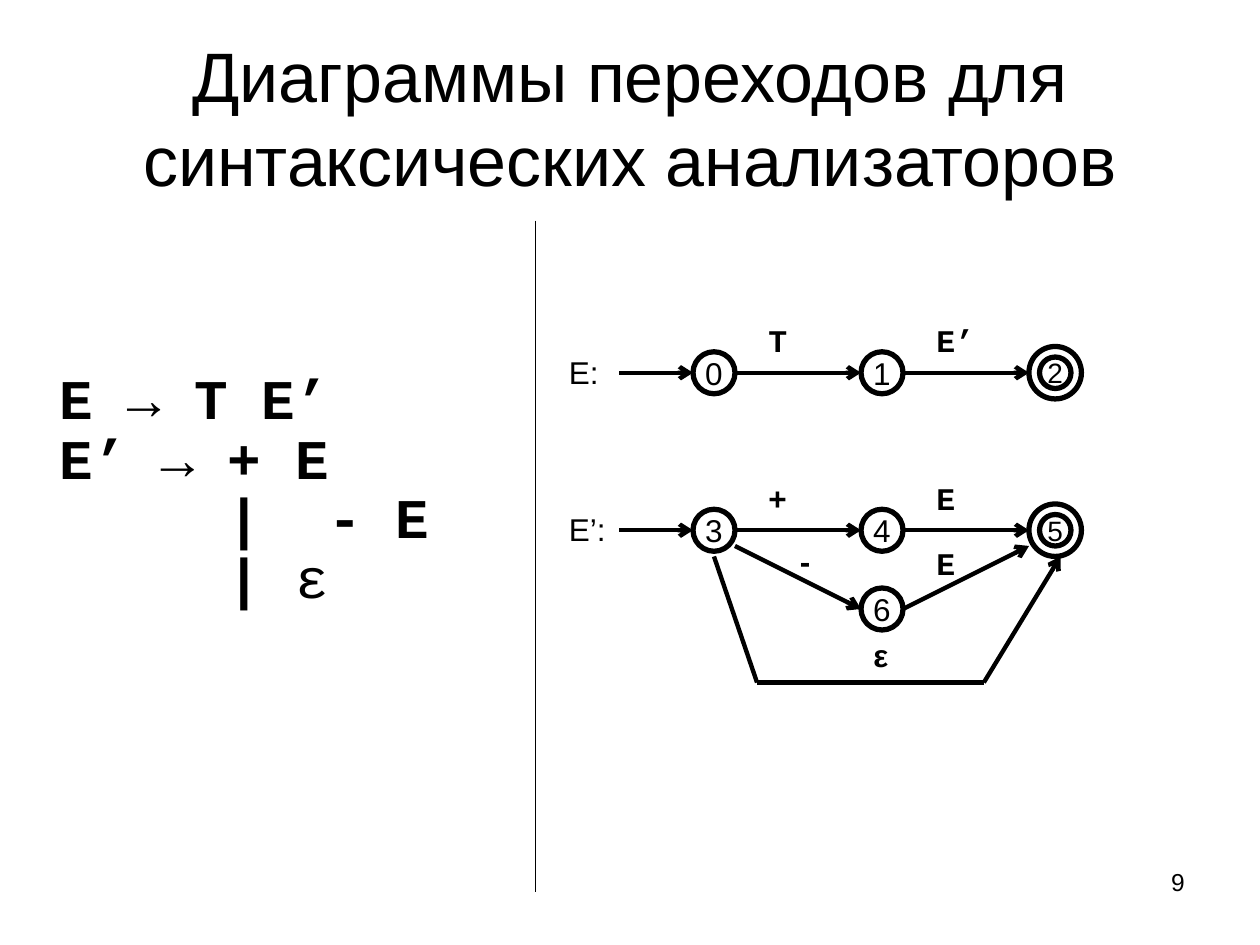
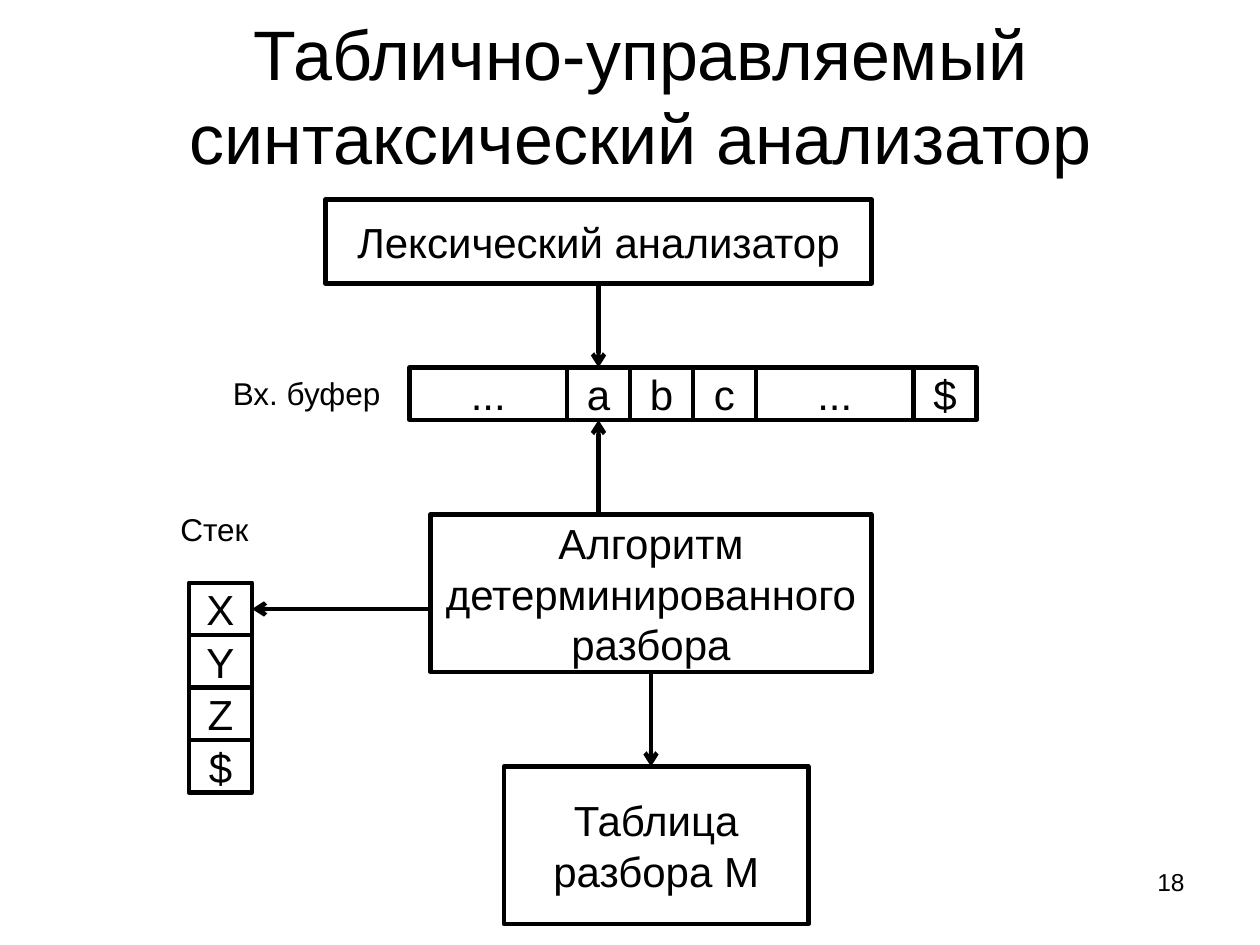
from lxml.etree import SubElement
from pptx import Presentation
from pptx.dml.color import RGBColor
from pptx.enum.shapes import MSO_CONNECTOR, MSO_SHAPE
from pptx.enum.text import MSO_ANCHOR, PP_ALIGN
from pptx.oxml.ns import qn
from pptx.util import Emu, Pt

PX = 7620  # EMU per px, 120 px to the inch
COLORS = {"ink": "000000", "paper": "FFFFFF"}
SANS = "Arial"
MONO = "Courier New"


def px(*lengths):
    return [Emu(length * PX) for length in lengths]


def color(name):
    return RGBColor.from_string(COLORS[name])


def write(shape, text, size=18, font=SANS, bold=False, align=PP_ALIGN.LEFT,
          anchor=MSO_ANCHOR.TOP, wrap=True, leading=1.2):
    """Write one paragraph per line; a line may be a list of (text, bold) runs."""
    frame = shape.text_frame
    frame.word_wrap = wrap
    frame.vertical_anchor = anchor
    lines = text.split("\n") if isinstance(text, str) else text
    for index, line in enumerate(lines):
        paragraph = frame.add_paragraph() if index else frame.paragraphs[0]
        paragraph.alignment = align
        paragraph.line_spacing = Pt(round(size * leading, 1))
        for words, run_bold in [(line, bold)] if isinstance(line, str) else line:
            run = paragraph.add_run()
            run.text = words
            run.font.name = font
            run.font.size = Pt(size)
            run.font.bold = run_bold
            run.font.color.rgb = color("ink")


class Deck:
    def __init__(self):
        self.presentation = Presentation()
        self.presentation.slide_width, self.presentation.slide_height = px(1200, 900)
        self.slide = None

    def add_slide(self, title, title_box, number):
        self.slide = self.presentation.slides.add_slide(self.presentation.slide_layouts[6])
        self.slide.background.fill.solid()
        self.slide.background.fill.fore_color.rgb = color("paper")
        self.text(title, *title_box, size=40, align=PP_ALIGN.CENTER,
                  anchor=MSO_ANCHOR.MIDDLE)
        self.text(number, 860, 820, 280, 62, size=14, align=PP_ALIGN.RIGHT)

    def text(self, text, left, top, width, height=48, **style):
        write(self.slide.shapes.add_textbox(*px(left, top, width, height)), text, **style)

    def outline(self, kind, left, top, width, height, text="", weight=2.5, size=24):
        shape = self.slide.shapes.add_shape(kind, *px(left, top, width, height))
        shape.shadow.inherit = False
        shape.fill.background()
        shape.line.color.rgb = color("ink")
        shape.line.width = Pt(weight)
        if text:
            write(shape, text, size=size, align=PP_ALIGN.CENTER,
                  anchor=MSO_ANCHOR.MIDDLE, wrap=False)

    def box(self, text, left, top, width, height):
        self.outline(MSO_SHAPE.RECTANGLE, left, top, width, height, text)

    def circle(self, x, y, diameter, text="", size=18):
        self.outline(MSO_SHAPE.OVAL, x - diameter // 2, y - diameter // 2,
                     diameter, diameter, text, weight=3, size=size)

    def final_state(self, x, y, text):
        self.circle(x, y, 50)
        self.circle(x, y, 30, text, size=16)

    def line(self, start, end, weight=2.5, arrow=False):
        connector = self.slide.shapes.add_connector(
            MSO_CONNECTOR.STRAIGHT, *px(*start, *end))
        connector.line.color.rgb = color("ink")
        connector.line.width = Pt(weight)
        if arrow:
            SubElement(connector.line._get_or_add_ln(), qn("a:tailEnd"), type="arrow")
        SubElement(connector._element.spPr, qn("a:effectLst"))

    def arrow(self, start, end):
        self.line(start, end, arrow=True)


def add_transition_diagrams(deck):
    deck.add_slide("Диаграммы переходов для синтаксических анализаторов",
                   (60, 36, 1080, 150), "9")
    grammar = [
        [("E", True), (" → ", False), ("T E’", True)],
        [("E’", True), (" → ", False), ("+ E", True)],
        [("     |  - E", True)],
        [("     | ", True), ("ε", False)],
    ]
    deck.text(grammar, 45, 347, 405, 250, size=32, font=MONO, leading=1.07)
    deck.line((510, 210), (510, 850), weight=0.75)

    first_x, middle_x, final_x, radius = 680, 840, 1005, 20
    rows = [
        ("E:", 355, "012", ("T", MONO), "E’"),
        ("E’:", 505, "345", ("+", SANS), "E"),
    ]
    for name, y, states, (first_label, first_font), second_label in rows:
        deck.text(name, 530, y - 25, 70)
        deck.circle(first_x, y, 2 * radius, states[0])
        deck.circle(middle_x, y, 2 * radius, states[1])
        deck.final_state(final_x, y, states[2])
        deck.arrow((590, y), (first_x - radius, y))
        deck.arrow((first_x + radius, y), (middle_x - radius, y))
        deck.arrow((middle_x + radius, y), (final_x - 25, y))
        deck.text(first_label, 720, y - 55, 50, font=first_font, bold=True)
        deck.text(second_label, 880, y - 55, 70, font=MONO, bold=True)

    minus_y = 580
    deck.circle(middle_x, minus_y, 2 * radius, "6")
    deck.arrow((first_x + radius, 520), (middle_x - radius, minus_y))
    deck.arrow((middle_x + radius, minus_y), (final_x - 25, 520))
    deck.text("-", 750, 510, 50, bold=True)
    deck.text("E", 880, 512, 70, font=MONO, bold=True)

    deck.line((first_x, 530), (721, 650))
    deck.line((721, 650), (937, 650))
    deck.arrow((937, 650), (1010, 530))
    deck.text("ε", 820, 600, 50, bold=True)


def add_table_driven_parser(deck):
    deck.add_slide("Таблично-управляемый синтаксический анализатор",
                   (60, 20, 1100, 140), "18")
    deck.box("Лексический анализатор", 310, 190, 520, 80)
    deck.box("Алгоритм\nдетерминированного\nразбора", 410, 490, 420, 150)
    deck.box("Таблица\nразбора М", 480, 730, 290, 150)

    deck.text("Вх. буфер", 210, 350, 170)
    left = 390
    for symbol in ("...", "a", "b", "c", "...", "$"):
        width = 150 if symbol == "..." else 60
        deck.box(symbol, left, 350, width, 50)
        left += width

    deck.text("Стек", 160, 480, 100)
    for index, symbol in enumerate("XYZ$"):
        deck.box(symbol, 180, 555 + 50 * index, 60, 50)

    deck.arrow((570, 270), (570, 350))
    deck.arrow((570, 490), (570, 400))
    deck.arrow((410, 580), (240, 580))
    deck.arrow((620, 640), (620, 730))


def main():
    deck = Deck()
    add_transition_diagrams(deck)
    add_table_driven_parser(deck)
    deck.presentation.save("out.pptx")


if __name__ == "__main__":
    main()
